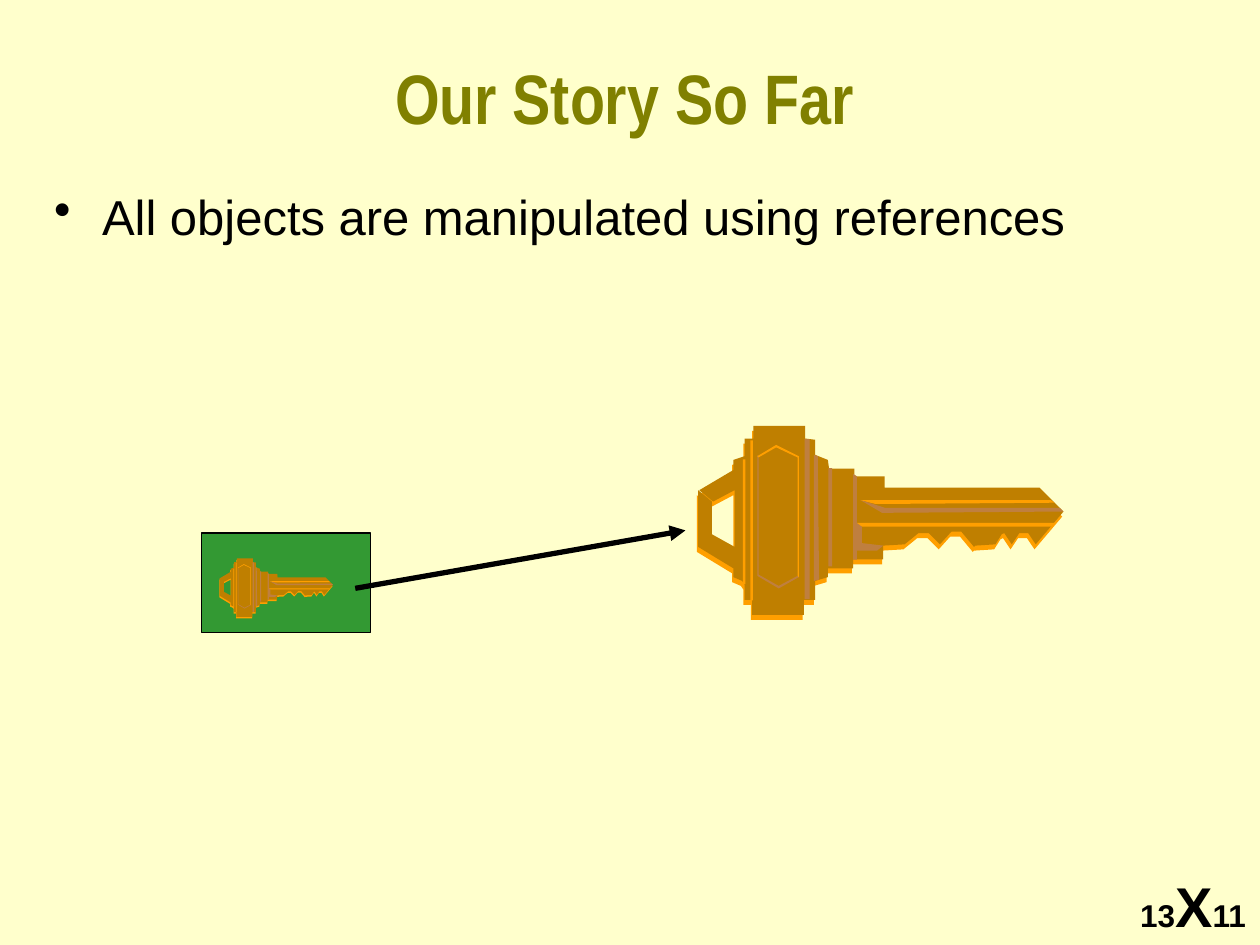
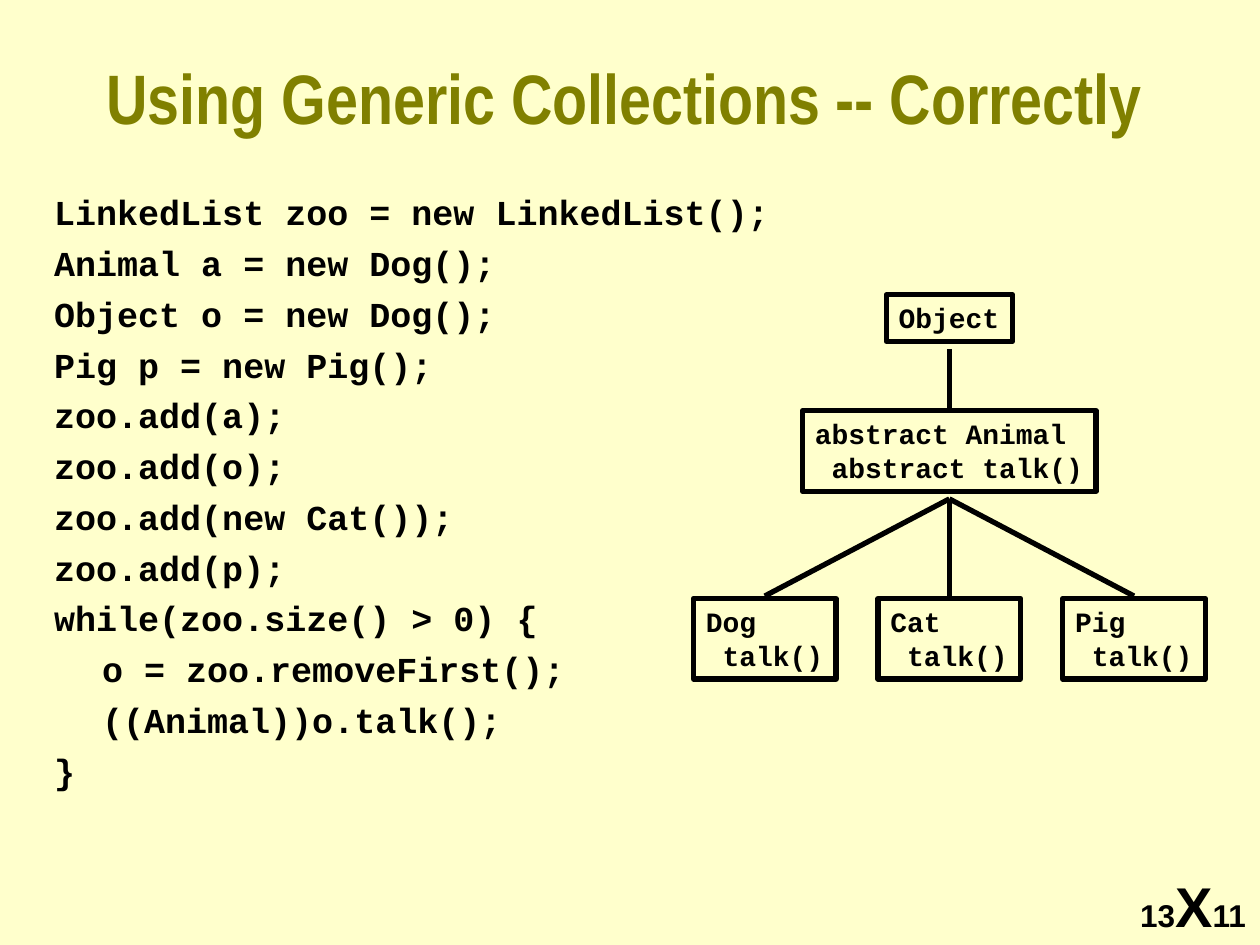
from dataclasses import dataclass
from typing import NamedTuple

from lxml import etree
from pptx import Presentation
from pptx.dml import color
from pptx.enum import shapes, text
from pptx.oxml import ns
from pptx.util import Pt

CREAM, OLIVE, BLACK, GREEN = "FFFFCC", "808000", "000000", "339933"
ORANGE, GOLD, BROWN = "FF9F00", "BF7F00", "BF7F3F"
SANS, NARROW, MONO = "Arial", "Arial Narrow", "Courier New"
KEY_UNIT = 0.72
INDENT = 27.4


class Box(NamedTuple):
    left: float
    top: float
    width: float
    height: float


class Style(NamedTuple):
    font: str
    size: float
    bold: bool = True
    color: str = BLACK


class Contour(NamedTuple):
    color: str
    points: list[tuple[int, int]]
    shift: tuple[int, int] = (0, 0)


class Bar(NamedTuple):
    color: str
    box: Box


@dataclass
class ClassNode:
    label: str
    center: float
    top: float
    width: float
    height: float = 46


TITLE = Style(NARROW, 40, color=OLIVE)
BULLET = Style(SANS, 28, bold=False)
CODE = Style(MONO, 20)
NODE = Style(MONO, 16)
PAGE = [("13", Style(SANS, 18)), ("X", Style(SANS, 32)), ("11", Style(SANS, 18))]

KEY_BODY = [
    (1, 96), (1, 51), (12, 60), (12, 86), (30, 96), (30, 51), (13, 60), (2, 51),
    (29, 35), (29, 27), (38, 24), (38, 10), (45, 10), (45, 0), (86, 0), (86, 10),
    (94, 11), (94, 23), (104, 27), (105, 34), (125, 34), (125, 39), (127, 40),
    (149, 40), (149, 49), (272, 49), (291, 68), (269, 94), (263, 85), (256, 85),
    (250, 94), (244, 85), (242, 86), (237, 94), (221, 95), (220, 96), (210, 84),
    (202, 84), (193, 94), (184, 85), (176, 85), (165, 94), (148, 95), (148, 106),
    (124, 106), (124, 113), (104, 113), (104, 120), (94, 123), (94, 138), (85, 138),
    (85, 150), (44, 150), (44, 138), (38, 138), (38, 126), (36, 123), (29, 120), (29, 113),
]
KEY_PARTS = [
    Contour(ORANGE, KEY_BODY, (-1, 4)),
    Contour(GOLD, KEY_BODY),
    Contour(BROWN, [(65, 129), (48, 119), (48, 23), (49, 24), (49, 118),
                    (65, 127), (80, 119), (81, 120)]),
    Contour(ORANGE, [(63, 15), (81, 24), (81, 120), (80, 119), (80, 25),
                     (63, 17), (49, 25), (48, 24)]),
    Bar(ORANGE, Box(42.5, 11.5, 2, 127)),
    Bar(ORANGE, Box(36.5, 26.5, 2, 99)),
    Contour(ORANGE, [(125, 77), (284, 77), (281, 80), (130, 80)]),
    Contour(ORANGE, [(130, 59), (281, 59), (284, 61), (142, 62)]),
    Bar(BROWN, Box(85.5, 10.5, 4, 127)),
    Bar(BROWN, Box(104.5, 33.5, 3, 78)),
    Contour(BROWN, [(130, 59), (140, 62), (149, 65), (288, 65), (291, 68), (147, 69)]),
    Contour(BROWN, [(148, 95), (143, 99), (127, 99), (127, 106), (124, 106),
                    (124, 38), (127, 40), (127, 77), (131, 80), (131, 93)]),
    Contour(BROWN, [(93, 123), (93, 23), (96, 24), (97, 122)]),
]

ZOO_CODE = [
    "LinkedList zoo = new LinkedList();",
    "Animal a = new Dog();",
    "Object o = new Dog();",
    "Pig p = new Pig();",
    "zoo.add(a);",
    "zoo.add(o);",
    "zoo.add(new Cat());",
    "zoo.add(p);",
    "while(zoo.size() > 0) {",
    "o = zoo.removeFirst();",
    "((Animal))o.talk();",
    "}",
]
LOOP_BODY = range(9, 11)


def rgb(value: str) -> color.RGBColor:
    return color.RGBColor.from_string(value)


def points(*values: float) -> list[int]:
    return [Pt(value) for value in values]


def format_run(run, style: Style) -> None:
    run.font.name = style.font
    run.font.size = Pt(style.size)
    run.font.bold = style.bold
    run.font.color.rgb = rgb(style.color)


def fill_text(frame, content: str, style: Style):
    frame.text = content
    for paragraph in frame.paragraphs:
        paragraph.alignment = text.PP_ALIGN.LEFT
        for run in paragraph.runs:
            format_run(run, style)
    return frame


def add_text(slide, box: Box, content: str, style: Style):
    frame = slide.shapes.add_textbox(*points(*box)).text_frame
    frame.word_wrap = True
    return fill_text(frame, content, style)


def paint(shape, fill: str | None, line: str | None = None, width: float = 0) -> None:
    shape.shadow.inherit = False
    if fill:
        shape.fill.solid()
        shape.fill.fore_color.rgb = rgb(fill)
    else:
        shape.fill.background()
    if line:
        shape.line.color.rgb = rgb(line)
        shape.line.width = Pt(width)
    else:
        shape.line.fill.background()


def add_rectangle(slide, box: Box):
    return slide.shapes.add_shape(shapes.MSO_SHAPE.RECTANGLE, *points(*box))


def add_line(slide, start: tuple[float, float], end: tuple[float, float], arrow: bool = False) -> None:
    link = slide.shapes.add_connector(shapes.MSO_CONNECTOR.STRAIGHT, *points(*start, *end))
    link.line.color.rgb = rgb(BLACK)
    link.line.width = Pt(3)
    if arrow:
        etree.SubElement(link.line._get_or_add_ln(), ns.qn("a:tailEnd"), type="triangle")
    etree.SubElement(link._element.spPr, ns.qn("a:effectLst"))


def add_key(slide, left: float, top: float, scale: float = 1) -> None:
    unit = KEY_UNIT * scale
    for part in KEY_PARTS:
        if isinstance(part, Bar):
            x, y, width, height = (value * unit for value in part.box)
            shape = add_rectangle(slide, Box(left + x, top + y, width, height))
        else:
            builder = slide.shapes.build_freeform(*part.points[0], scale=Pt(unit))
            builder.add_line_segments(part.points[1:], close=True)
            dx, dy = part.shift
            shape = builder.convert_to_shape(*points(left + dx * unit, top + dy * unit))
        paint(shape, part.color)


def add_node(slide, node: ClassNode) -> None:
    box = Box(node.center - node.width / 2, node.top, node.width, node.height)
    shape = add_rectangle(slide, box)
    paint(shape, None, BLACK, 3)
    frame = fill_text(shape.text_frame, node.label, NODE)
    frame.word_wrap = False
    frame.vertical_anchor = text.MSO_ANCHOR.TOP


def add_base(deck, title: str):
    slide = deck.slides.add_slide(deck.slide_layouts[6])
    slide.background.fill.solid()
    slide.background.fill.fore_color.rgb = rgb(CREAM)
    page = slide.shapes.add_textbox(*points(644.4, 494.6, 75.6, 46)).text_frame
    page.word_wrap = False
    for content, style in PAGE:
        run = page.paragraphs[0].add_run()
        run.text = content
        format_run(run, style)
    heading = add_text(slide, Box(23.8, 23.8, 666, 62.6), title, TITLE)
    heading.vertical_anchor = text.MSO_ANCHOR.MIDDLE
    heading.paragraphs[0].alignment = text.PP_ALIGN.CENTER
    return slide


def build_story(deck) -> None:
    slide = add_base(deck, "Our Story So Far")
    statement = add_text(slide, Box(23.8, 103, 666, 412),
                         "All objects are manipulated using references", BULLET)
    properties = statement.paragraphs[0]._p.get_or_add_pPr()
    properties.set("marL", str(Pt(INDENT)))
    properties.set("indent", str(Pt(-INDENT)))
    etree.SubElement(properties, ns.qn("a:buChar"), char="•")
    add_key(slide, 398.2, 243.4)
    paint(add_rectangle(slide, Box(115.2, 304.6, 96.5, 56.9)), GREEN, BLACK, 0.75)
    add_key(slide, 125.3, 319, 0.31)
    add_line(slide, (203, 336.2), (391.7, 303.1), arrow=True)


def build_collections(deck) -> None:
    slide = add_base(deck, "Using Generic Collections -- Correctly")
    listing = add_text(slide, Box(23.8, 105.5, 666, 402), "\n".join(ZOO_CODE), CODE)
    for index, line in enumerate(listing.paragraphs):
        if index:
            line.space_before = Pt(5)
        if index in LOOP_BODY:
            line._p.get_or_add_pPr().set("marL", str(Pt(INDENT)))

    center, step = 542.5, 105.5
    add_node(slide, ClassNode("Object", center, 168.5, 72, 26.6))
    add_line(slide, (center, 199.4), (center, 233.3))
    add_node(slide, ClassNode("abstract Animal\n abstract talk()", center, 234.7, 167.8))
    for index, animal in enumerate(["Dog", "Cat", "Pig"]):
        branch = center + (index - 1) * step
        add_node(slide, ClassNode(f"{animal}\n talk()", branch, 342, 81.4))
        add_line(slide, (center, 285.1), (branch, 340.6))


def main() -> None:
    deck = Presentation()
    deck.slide_width, deck.slide_height = points(720, 540)
    build_story(deck)
    build_collections(deck)
    deck.save("out.pptx")


if __name__ == "__main__":
    main()
